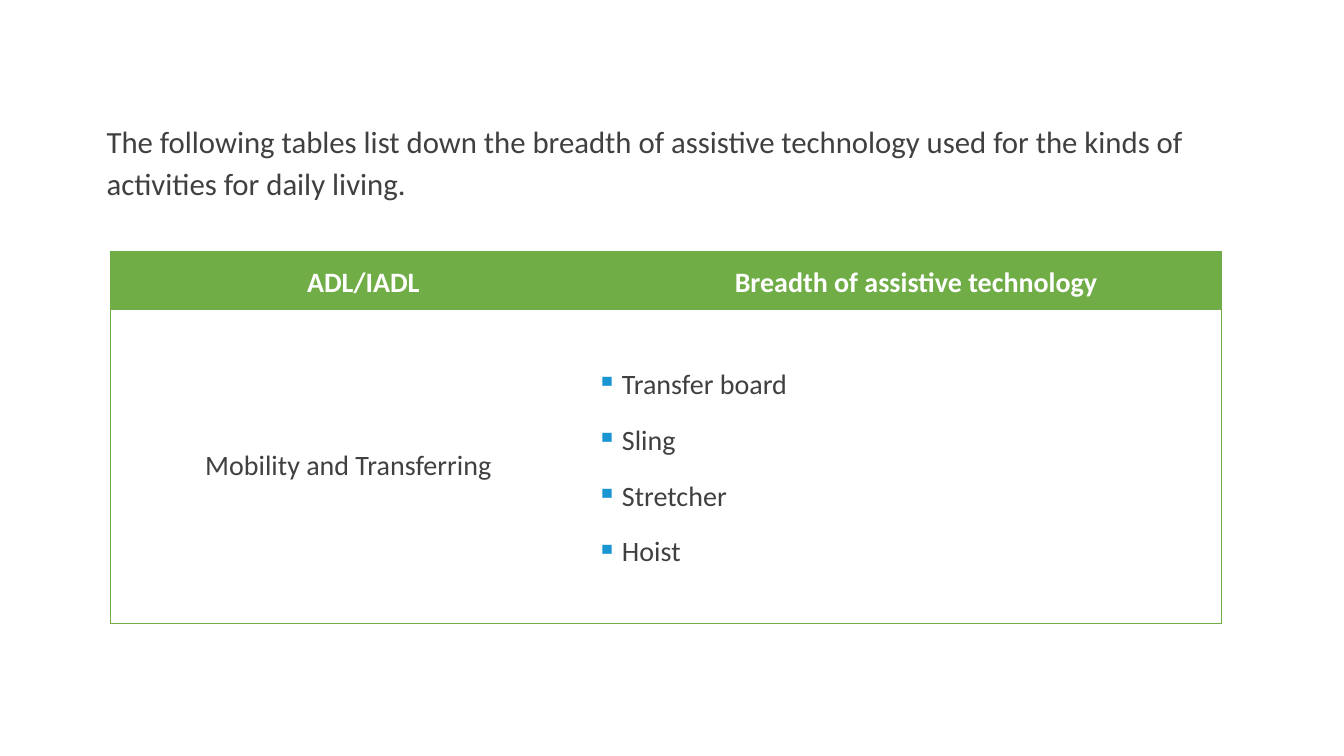
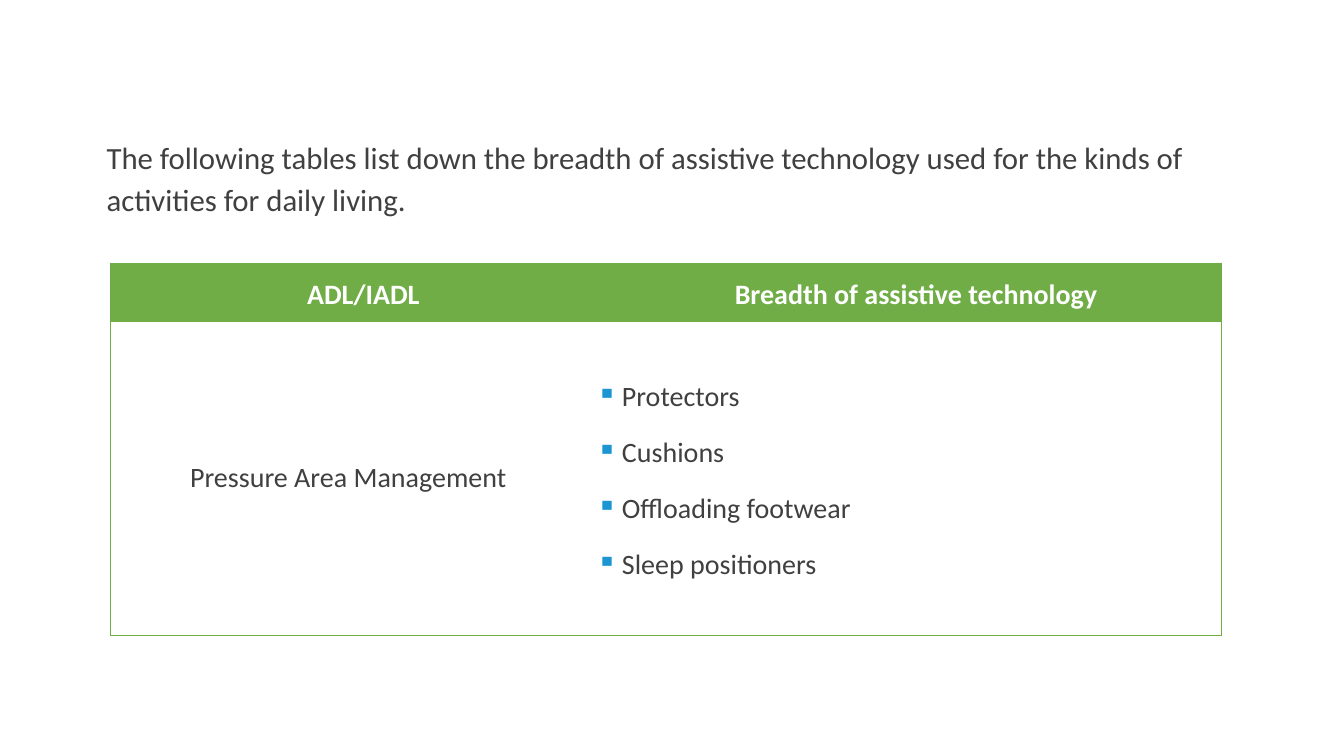
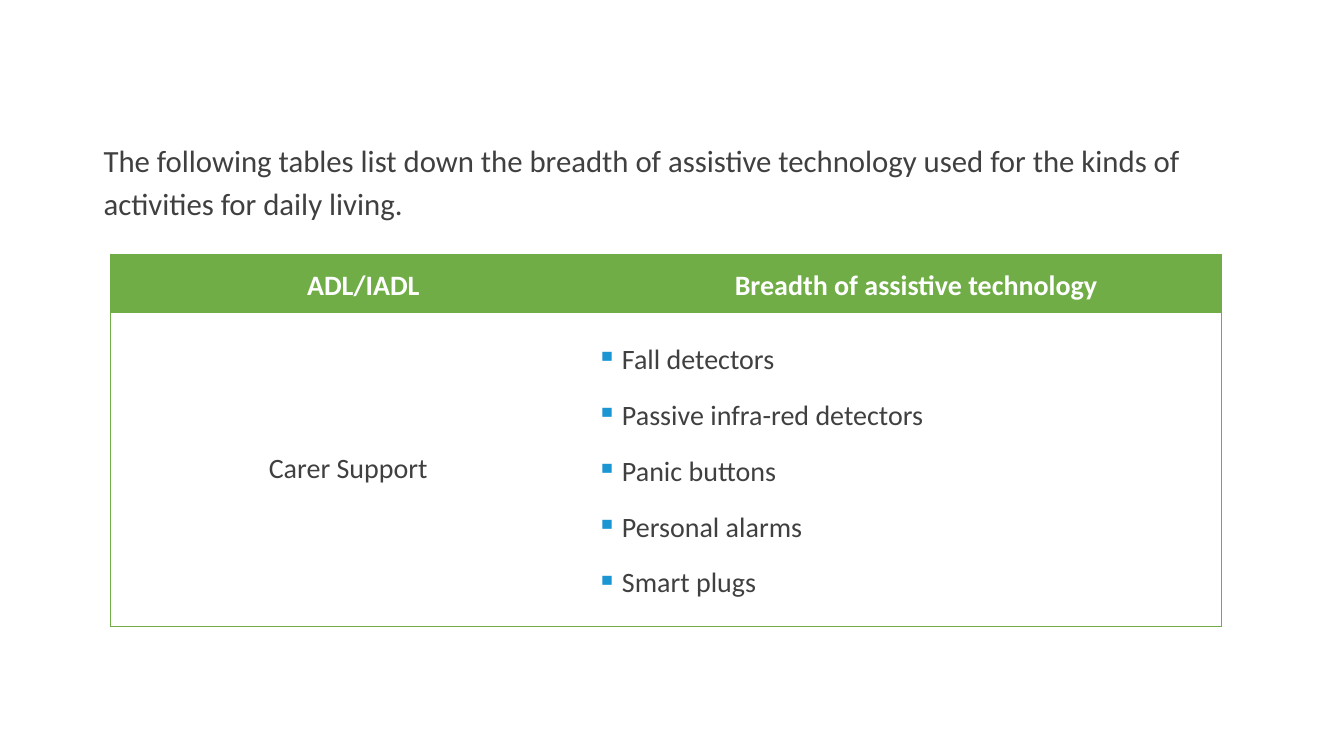
import pptx
import pptx.dml.color
import pptx.enum.text
import pptx.oxml.ns
import pptx.util
from lxml import etree

Pt = pptx.util.Pt
RGBColor = pptx.dml.color.RGBColor
PP_ALIGN = pptx.enum.text.PP_ALIGN
MIDDLE = pptx.enum.text.MSO_ANCHOR.MIDDLE
qn = pptx.oxml.ns.qn

GREEN = RGBColor(0x70, 0xAD, 0x47)
GREY = RGBColor(0x40, 0x40, 0x40)
BLUE = RGBColor(0x1C, 0x96, 0xD3)
WHITE = RGBColor(0xFF, 0xFF, 0xFF)

INTRO = ("The following tables list down the breadth of assistive technology "
         "used for the kinds of activities for daily living.")
HEADERS = ("ADL/IADL", "Breadth of assistive technology ")

# Intro left, intro top, table top, activity, technologies
SLIDES = [
    (69.12, 80.64, 179.28, "Mobility and Transferring",
     ["Transfer board", "Sling", "Stretcher", "Hoist"]),
    (69.12, 92.16, 187.92, "Pressure Area Management",
     ["Protectors", "Cushions", "Offloading footwear", "Sleep positioners"]),
    (66.96, 94.32, 181.44, "Carer Support",
     ["Fall detectors", "Passive infra-red detectors", "Panic buttons",
      "Personal alarms", "Smart plugs"]),
]


class DeckBuilder:
    font = "Calibri"
    table_left = 78.48
    columns = (340.56, 453.6)
    rows = (41.76, 223.92)

    def __init__(self):
        self.deck = pptx.Presentation()
        self.deck.slide_width = Pt(960)
        self.deck.slide_height = Pt(540)
        self.page = None

    def add_page(self):
        self.page = self.deck.slides.add_slide(self.deck.slide_layouts[6])

    def add_text(self, para, text, size=20, color=GREY, bold=False):
        span = para.add_run()
        span.text = text
        span.font.name = self.font
        span.font.size = Pt(size)
        span.font.bold = bold
        span.font.color.rgb = color

    def space(self, para, line, first=True):
        para.line_spacing = line
        para.space_before = Pt(0 if first else 6)
        para.space_after = Pt(6)

    def indent(self, para, margin, hanging=18):
        properties = para._p.get_or_add_pPr()
        properties.set("marL", str(Pt(margin)))
        properties.set("indent", str(-Pt(hanging)))
        return properties

    def bullet(self, para):
        properties = self.indent(para, 18)
        color = etree.SubElement(properties, qn("a:buClr"))
        etree.SubElement(color, qn("a:srgbClr"), val=str(BLUE))
        etree.SubElement(properties, qn("a:buChar"), char="▪")

    def border(self, cell, outer_side):
        # Green on the outer side, top and bottom; nothing between columns
        properties = cell._tc.get_or_add_tcPr()
        for side in "LRTB":
            line = etree.SubElement(properties, qn("a:ln" + side), w=str(Pt(0.5)))
            if side in outer_side + "TB":
                fill = etree.SubElement(line, qn("a:solidFill"))
                etree.SubElement(fill, qn("a:srgbClr"), val=str(GREEN))
            else:
                etree.SubElement(line, qn("a:noFill"))

    def intro(self, left, top):
        box = self.page.shapes.add_textbox(Pt(left), Pt(top), Pt(794.16), Pt(342.72))
        box.text_frame.word_wrap = True
        para = box.text_frame.paragraphs[0]
        self.space(para, 1.14)
        self.add_text(para, INTRO, size=22)

    def table(self, top, activity, technologies):
        table = self.page.shapes.add_table(
            2, 2, Pt(self.table_left), Pt(top),
            Pt(sum(self.columns)), Pt(sum(self.rows))).table
        table.first_row = table.horz_banding = False
        for row, height in zip(table.rows, self.rows):
            row.height = Pt(height)

        for index, (width, header) in enumerate(zip(self.columns, HEADERS)):
            table.columns[index].width = Pt(width)
            for row in range(2):
                cell = table.cell(row, index)
                self.border(cell, "LR"[index])
                cell.vertical_anchor = MIDDLE
                cell.fill.solid()
                cell.fill.fore_color.rgb = WHITE if row else GREEN

            # Header cell
            cell = table.cell(0, index)
            cell.margin_left = cell.margin_right = Pt(5)
            cell.margin_top = cell.margin_bottom = Pt(0)
            para = cell.text_frame.paragraphs[0]
            para.alignment = PP_ALIGN.CENTER
            self.indent(para, 39.6)
            self.space(para, 1.15)
            self.add_text(para, header, color=WHITE, bold=True)

        # Activity
        para = table.cell(1, 0).text_frame.paragraphs[0]
        para.alignment = PP_ALIGN.CENTER
        self.add_text(para, activity)

        # Technologies
        frame = table.cell(1, 1).text_frame
        for index, technology in enumerate(technologies):
            para = frame.add_paragraph() if index else frame.paragraphs[0]
            self.bullet(para)
            self.space(para, 1.14, first=index == 0)
            self.add_text(para, technology)


def main():
    builder = DeckBuilder()
    for intro_left, intro_top, table_top, activity, technologies in SLIDES:
        builder.add_page()
        builder.intro(intro_left, intro_top)
        builder.table(table_top, activity, technologies)
    builder.deck.save("out.pptx")


if __name__ == "__main__":
    main()
